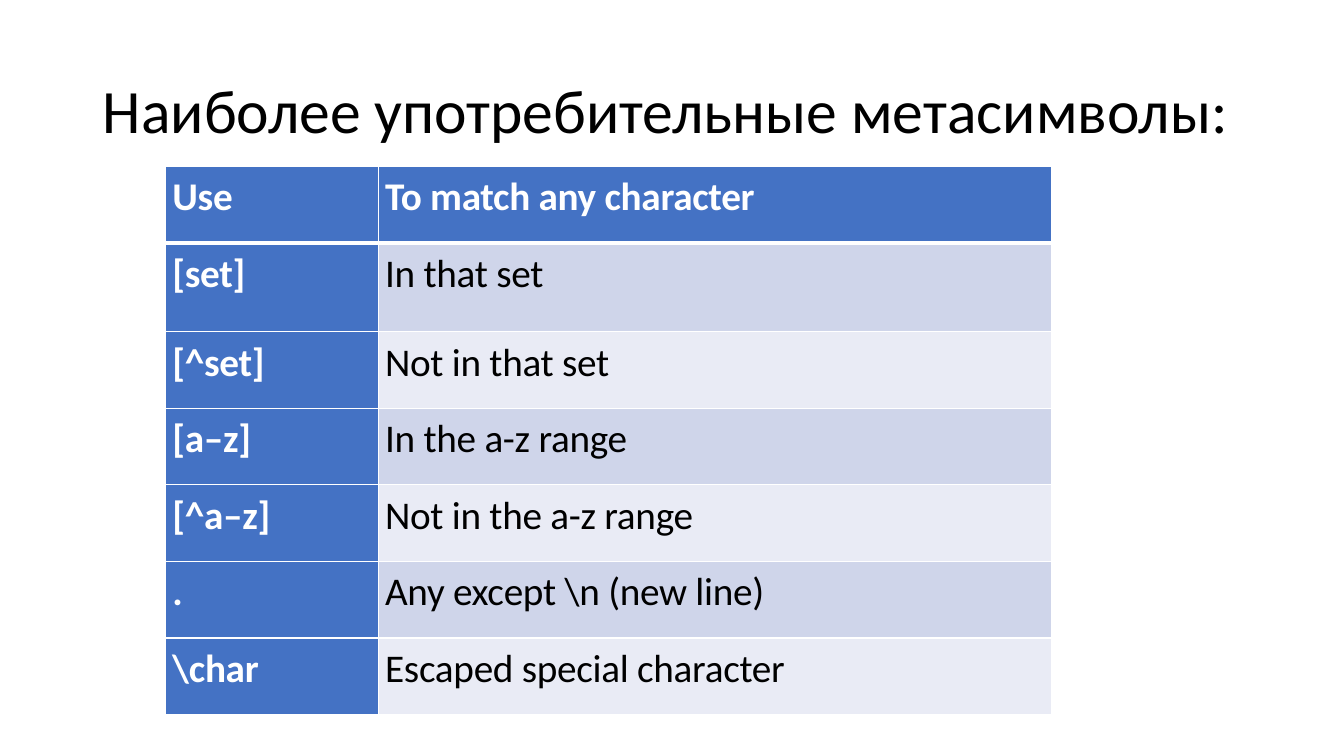
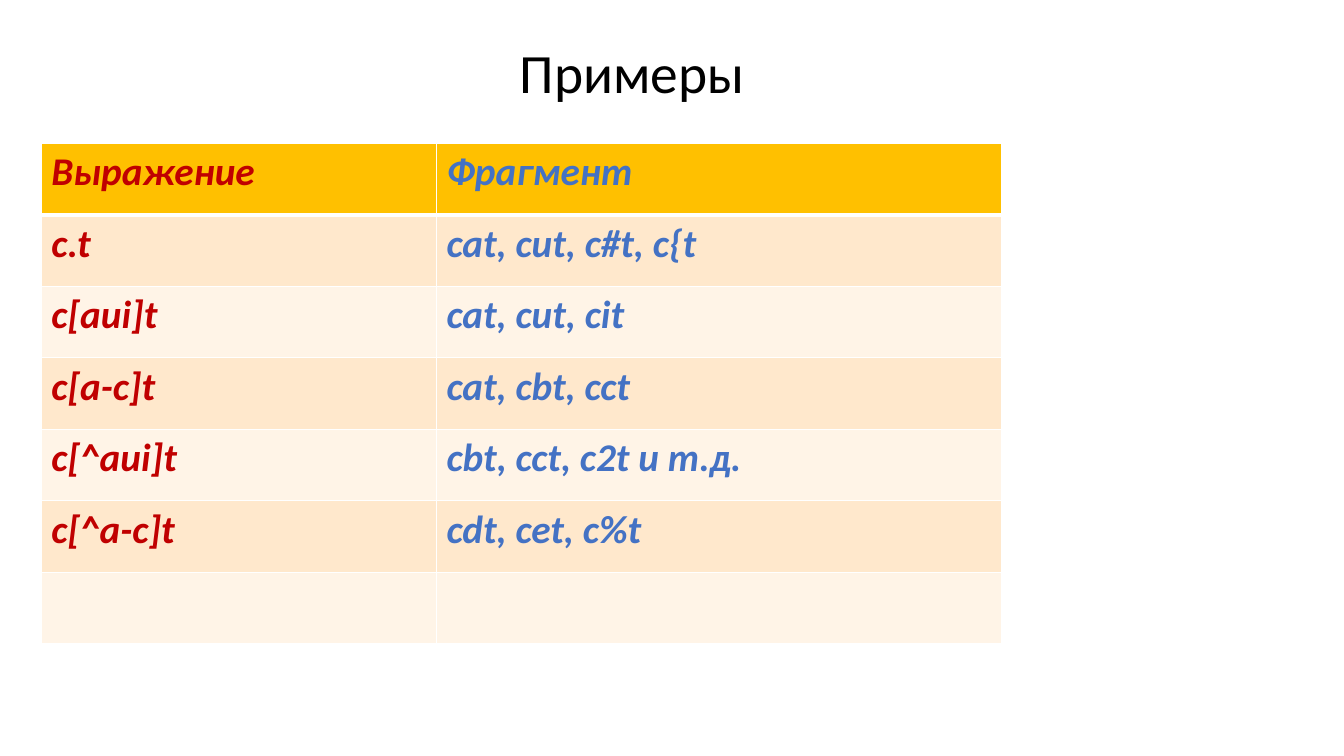
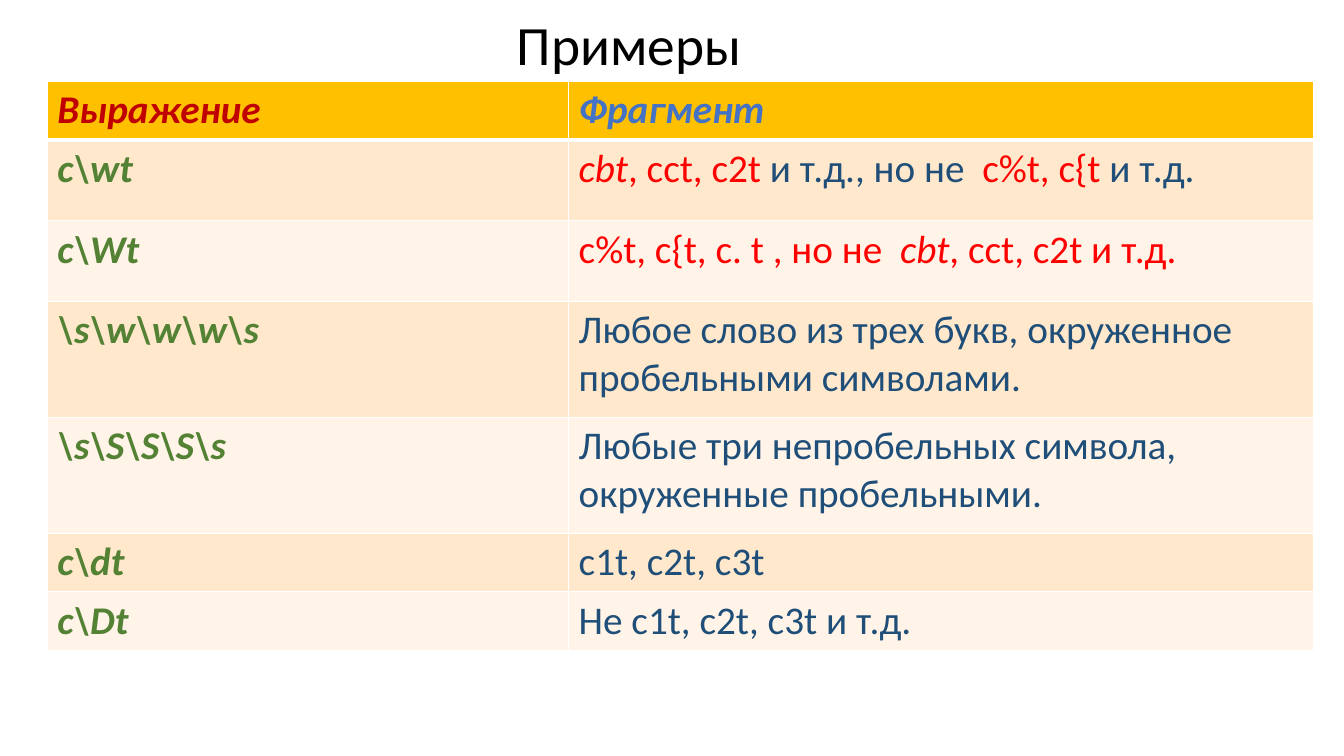
from lxml import etree
from pptx import Presentation
from pptx.dml.color import RGBColor
from pptx.enum.text import MSO_ANCHOR, MSO_AUTO_SIZE, PP_ALIGN
from pptx.oxml.ns import qn
from pptx.util import Inches, Pt

LEFT, CENTER = PP_ALIGN.LEFT, PP_ALIGN.CENTER
MIDDLE = MSO_ANCHOR.MIDDLE
NO_AUTOFIT = MSO_AUTO_SIZE.NONE

BLACK = RGBColor(0x00, 0x00, 0x00)
WHITE = RGBColor(0xFF, 0xFF, 0xFF)
BLUE = RGBColor(0x44, 0x72, 0xC4)
BLUE_BANDS = (RGBColor(0xCF, 0xD5, 0xEA), RGBColor(0xE9, 0xEB, 0xF5))
GOLD = RGBColor(0xFF, 0xC0, 0x00)
GOLD_BANDS = (RGBColor(0xFF, 0xE8, 0xCC), RGBColor(0xFF, 0xF4, 0xE7))
DARK_RED = RGBColor(0xC0, 0x00, 0x00)
RED = RGBColor(0xFF, 0x00, 0x00)
GREEN = RGBColor(0x54, 0x82, 0x35)
NAVY = RGBColor(0x1F, 0x4E, 0x79)

# Text styles: colour, bold, italic
WHITE_BOLD = (WHITE, True, False)
PLAIN = (BLACK, False, False)
DARK_RED_STRONG = (DARK_RED, True, True)
BLUE_STRONG = (BLUE, True, True)
GREEN_STRONG = (GREEN, True, True)
NAVY_PLAIN = (NAVY, False, False)
RED_PLAIN = (RED, False, False)
RED_ITALIC = (RED, False, True)

EXAMPLE_HEADER = ("Выражение", "Фрагмент")
EXAMPLE_HEADER_STYLES = (DARK_RED_STRONG, BLUE_STRONG)


class Deck:
    font = "Calibri"
    cell_size = 28

    def __init__(self):
        self.prs = Presentation()
        self.prs.slide_width = Inches(13.33)
        self.prs.slide_height = Inches(7.5)
        self.s = None

    def add_slide(self):
        self.s = self.prs.slides.add_slide(self.prs.slide_layouts[5])

    def title(self, text, left, top, width, height, size=39.6, align=CENTER):
        sp = self.s.shapes.title
        sp.left, sp.top = Inches(left), Inches(top)
        sp.width, sp.height = Inches(width), Inches(height)
        tf = sp.text_frame
        tf.text = text
        tf.word_wrap = True
        tf.auto_size = NO_AUTOFIT
        tf.vertical_anchor = MIDDLE
        p = tf.paragraphs[0]
        p.alignment = align
        p.line_spacing = 0.9
        self.format_run(p.runs[0], PLAIN, size)

    def format_run(self, r, style, size):
        r.font.name = self.font
        r.font.size = Pt(size)
        r.font.color.rgb, r.font.bold, r.font.italic = style

    def table(self, left, top, cols, rows, texts, header_styles, body_styles,
              header_fill, bands, first_col_fill=None, compact=False):
        """Banded table; compact cells have tight margins and letter spacing."""
        frame = self.s.shapes.add_table(
            len(rows), len(cols), Inches(left), Inches(top),
            Inches(sum(cols)), Inches(sum(rows)))
        table = frame.table
        table.first_col = first_col_fill is not None
        for column, width in zip(table.columns, cols):
            column.width = Inches(width)
        for i, height in enumerate(rows):
            table.rows[i].height = Inches(height)
            styles = body_styles if i else header_styles
            for j, content in enumerate(texts[i]):
                cell = table.cell(i, j)
                fill = bands[(i - 1) % 2] if i else header_fill
                if j == 0 and first_col_fill is not None:
                    fill = first_col_fill
                cell.fill.solid()
                cell.fill.fore_color.rgb = fill
                self.borders(cell, 1 if i else 3, 3 if i == 1 else 1)
                self.cell_text(cell, content, styles[j], compact)

    def borders(self, cell, bottom, top):
        tcPr = cell._tc.get_or_add_tcPr()
        widths = (("a:lnL", 1), ("a:lnR", 1), ("a:lnT", top), ("a:lnB", bottom))
        for position, (tag, width) in enumerate(widths):
            ln = etree.Element(qn(tag), w=str(Pt(width)))
            fill = etree.SubElement(ln, qn("a:solidFill"))
            etree.SubElement(fill, qn("a:srgbClr"), val=str(WHITE))
            tcPr.insert(position, ln)

    def cell_text(self, cell, content, style, compact):
        """Content is a string, or a list of (text, style) runs."""
        p = cell.text_frame.paragraphs[0]
        if compact:
            cell.margin_left = cell.margin_right = Inches(0.07)
            cell.margin_top = cell.margin_bottom = 0
            p.line_spacing = 1.15
        if not content:
            p.font.size = Pt(self.cell_size)
            return
        runs = [(content, style)] if isinstance(content, str) else content
        for text, run_style in runs:
            r = p.add_run()
            r.text = text
            self.format_run(r, run_style, self.cell_size)
            if compact:
                r.font._element.set("spc", "-20")


def metacharacters(deck):
    deck.add_slide()
    deck.title("Наиболее употребительные метасимволы:",
               0.92, 0.4, 11.5, 1.45, size=44, align=LEFT)
    texts = [
        ("Use", "To match any character"),
        ("[set]", "In that set"),
        ("[^set]", "Not in that set"),
        ("[a–z]", "In the a-z range"),
        ("[^a–z]", "Not in the a-z range"),
        (".", r"Any except \n (new line)"),
        (r"\char", "Escaped special character"),
    ]
    deck.table(1.64, 1.65, (2.11, 6.68), [0.76, 0.88] + [0.76] * 5, texts,
               (WHITE_BOLD, WHITE_BOLD), (WHITE_BOLD, PLAIN),
               BLUE, BLUE_BANDS, first_col_fill=BLUE, compact=True)


def set_examples(deck):
    deck.add_slide()
    deck.title("Примеры", 0.92, 0.4, 10.7, 0.69)
    texts = [
        EXAMPLE_HEADER,
        ("c.t", "cat, cut, c#t, c{t"),
        ("c[aui]t", "cat, cut, cit"),
        ("c[a-c]t", "cat, cbt, cct"),
        ("c[^aui]t", "cbt, cct, c2t и т.д."),
        ("c[^a-c]t", "cdt, cet, c%t"),
        ("", ""),
    ]
    deck.table(0.41, 1.42, (3.92, 5.6), [0.71] * 7, texts,
               EXAMPLE_HEADER_STYLES, EXAMPLE_HEADER_STYLES, GOLD, GOLD_BANDS)


def class_examples(deck):
    deck.add_slide()
    deck.title("Примеры", 0.89, 0.13, 10.7, 0.69)
    word_matches = [
        ("cbt", RED_ITALIC),
        (", cct, c2t ", RED_PLAIN),
        ("и т.д., но не  ", NAVY_PLAIN),
        ("c%t, c{t", RED_PLAIN),
        (" и т.д.", NAVY_PLAIN),
    ]
    non_word_matches = [
        ("c%t, c{t, c. t , но не  ", RED_PLAIN),
        ("cbt", RED_ITALIC),
        (", cct, c2t и т.д.", RED_PLAIN),
    ]
    texts = [
        EXAMPLE_HEADER,
        (r"c\wt", word_matches),
        (r"c\Wt", non_word_matches),
        (r"\s\w\w\w\s",
         "Любое слово из трех букв, окруженное пробельными символами."),
        (r"\s\S\S\S\s",
         "Любые три непробельных символа, окруженные пробельными."),
        (r"c\dt", "c1t, c2t, c3t"),
        (r"c\Dt", "Не c1t, c2t, c3t и т.д."),
    ]
    deck.table(0.47, 0.81, (5.17, 7.39),
               (0.58, 0.8, 0.8, 1.15, 1.15, 0.58, 0.58), texts,
               EXAMPLE_HEADER_STYLES, (GREEN_STRONG, NAVY_PLAIN),
               GOLD, GOLD_BANDS)


def main():
    deck = Deck()
    metacharacters(deck)
    set_examples(deck)
    class_examples(deck)
    deck.prs.save("out.pptx")


if __name__ == "__main__":
    main()
